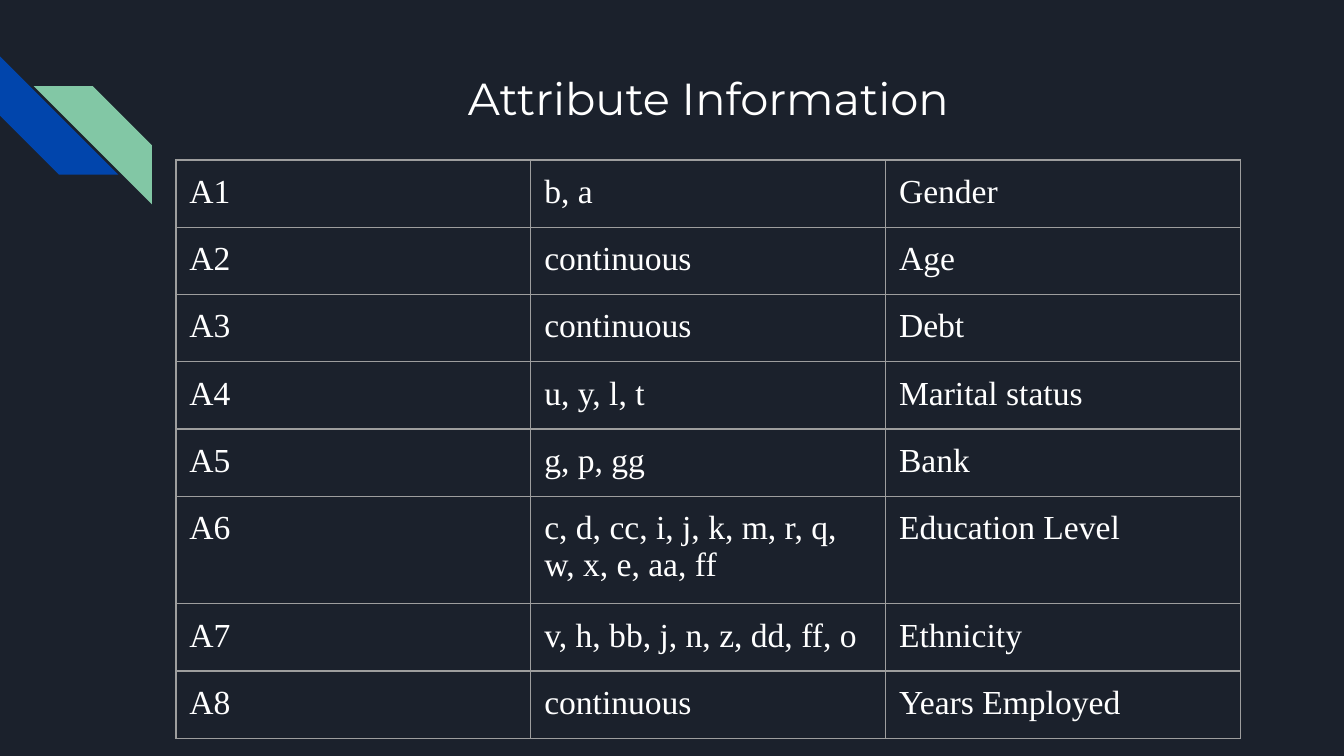
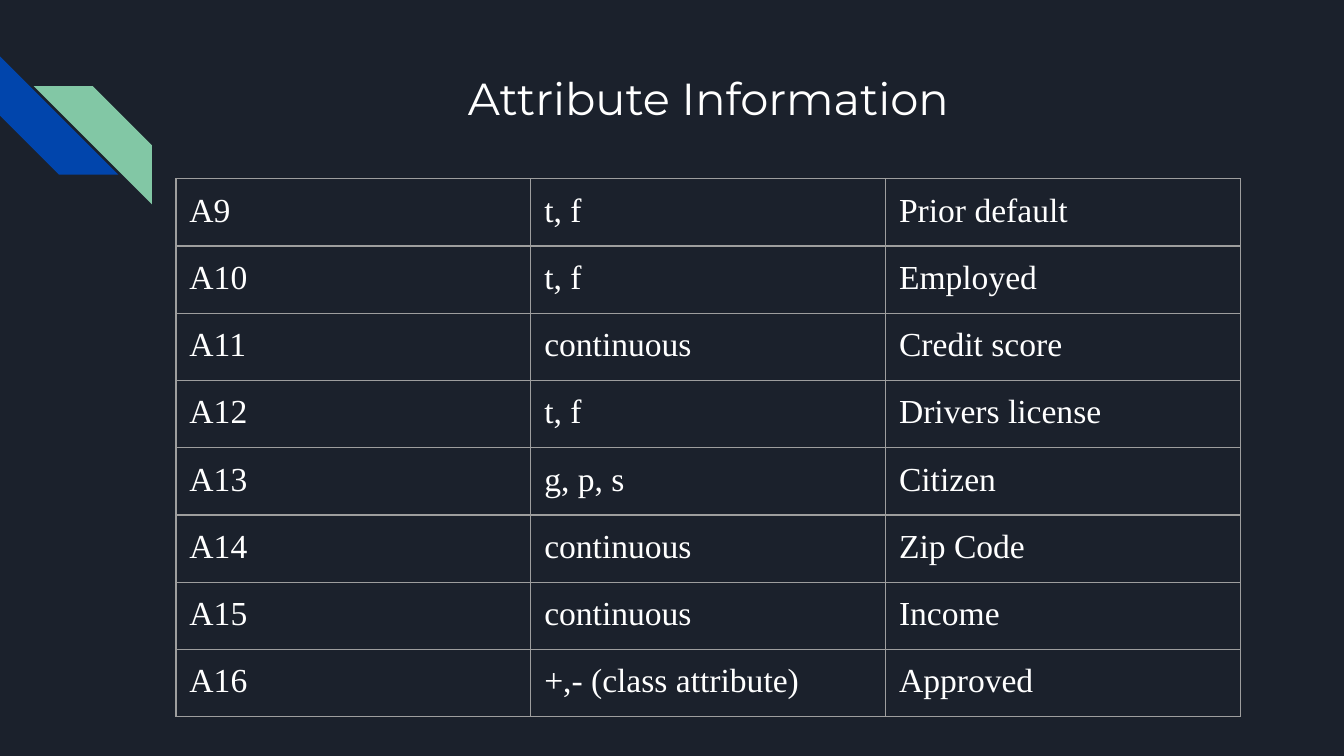
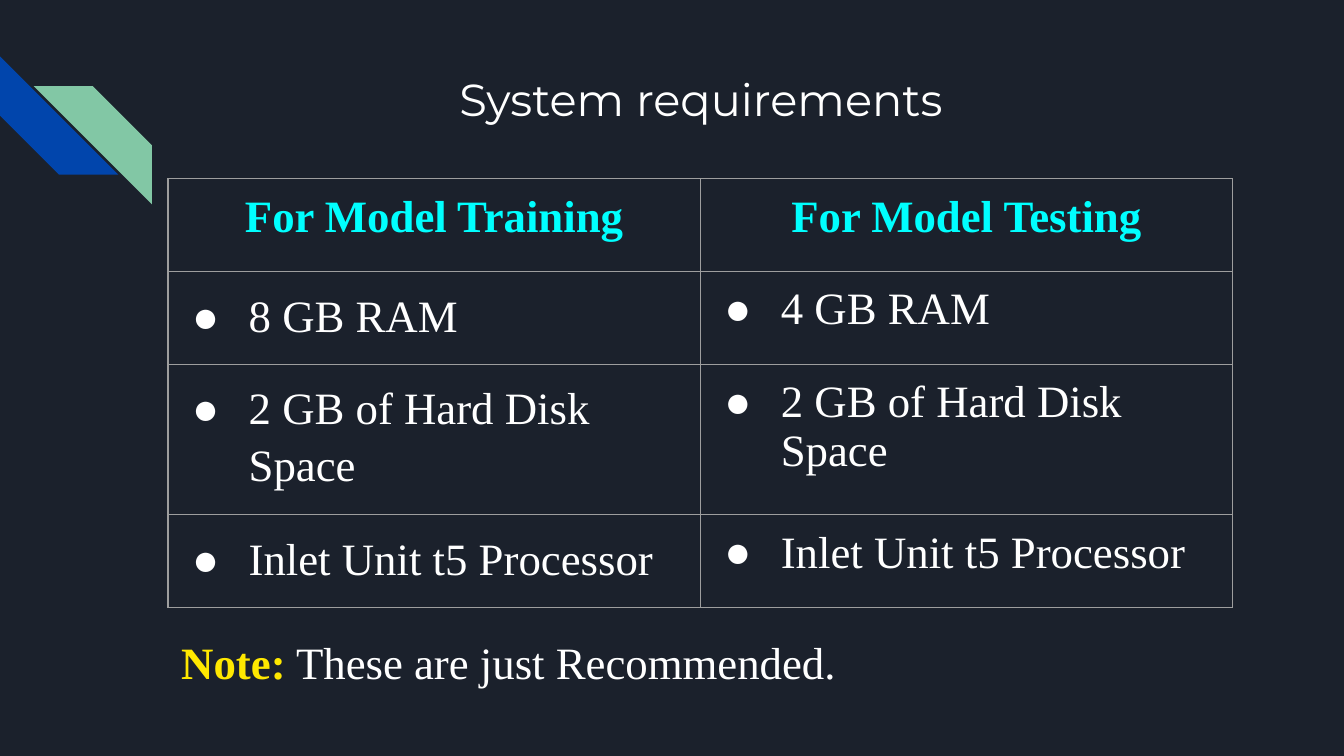
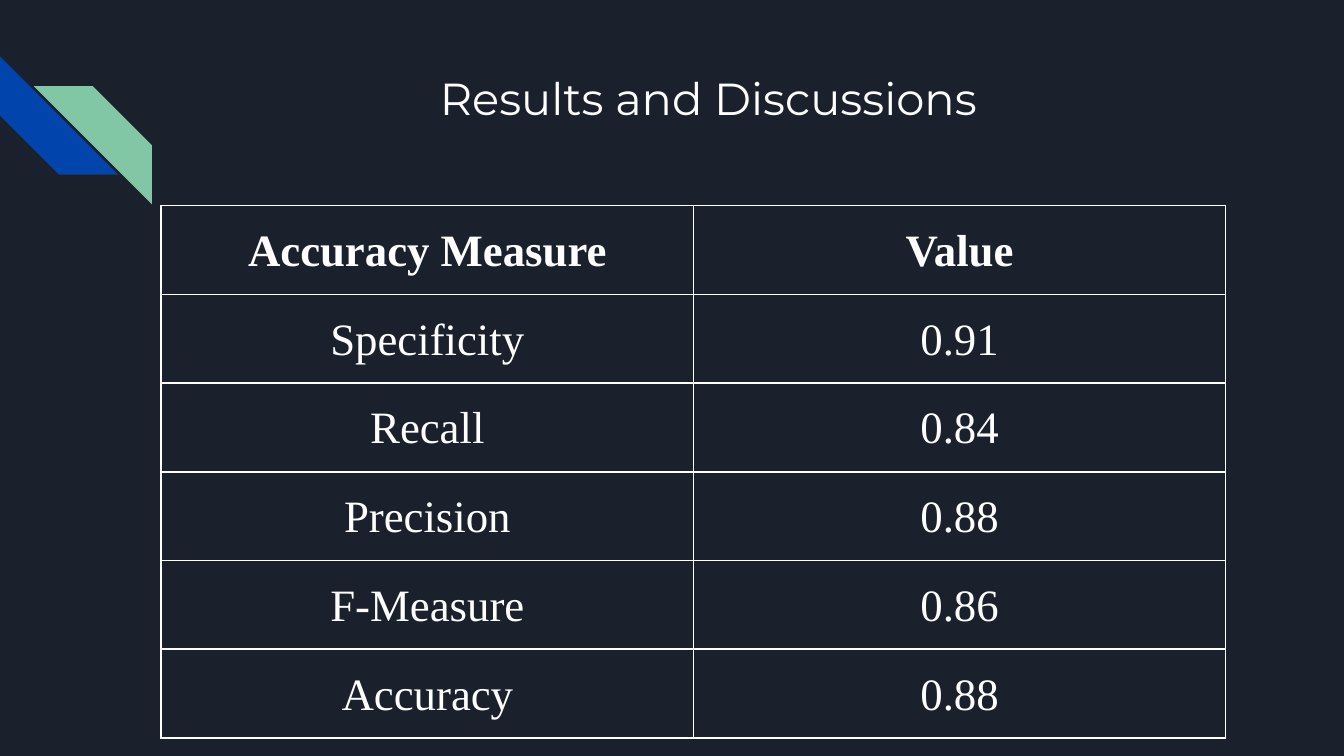
from dataclasses import dataclass

from lxml.etree import SubElement
from pptx import Presentation
from pptx.dml.color import RGBColor
from pptx.enum.shapes import MSO_SHAPE
from pptx.enum.text import MSO_AUTO_SIZE, PP_ALIGN
from pptx.oxml import parse_xml
from pptx.oxml.ns import nsdecls, qn
from pptx.presentation import Presentation as Deck
from pptx.slide import Slide
from pptx.table import _Cell as Cell
from pptx.text.text import TextFrame, _Paragraph as Paragraph
from pptx.util import Inches, Pt


@dataclass(frozen=True)
class Theme:
    background: str = "1B212C"
    blue: str = "0145AC"
    green: str = "82C7A5"
    white: str = "FFFFFF"
    gray: str = "9E9E9E"
    cyan: str = "00FFFF"
    yellow: str = "FFE800"
    title_font: str = "Montserrat"
    body_font: str = "Times New Roman"
    large: int = 24
    small: int = 18


THEME = Theme()
TABLE_WIDTH = 7.92
MARGIN = 0.1


@dataclass(frozen=True)
class Stripe:
    left: float
    top: float
    color: str
    rotation: int = 0
    flipped: bool = False


@dataclass(frozen=True)
class Title:
    text: str
    left: float = 1.31
    width: float = 7.92
    height: float = 0.76


@dataclass(frozen=True)
class CellStyle:
    size: int = THEME.large
    color: str = THEME.white
    bold: bool = False
    alignment: PP_ALIGN = PP_ALIGN.LEFT
    line_spacing: float | None = None
    space: int | None = None
    bullet: bool = False
    side_margin: float = MARGIN


@dataclass(frozen=True)
class Grid:
    """A table; styles gives one style per column, header styles the first row."""
    left: float
    top: float
    rows: list[tuple[str, ...]]
    heights: list[float]
    styles: list[CellStyle]
    header: CellStyle | None = None
    border_color: str = THEME.gray
    border_width: float = 0.75


STRIPES = [
    Stripe(0, 0.42, THEME.blue, rotation=270),
    Stripe(0.25, 0.64, THEME.green, flipped=True),
]
STRIPE_SIZE = 0.88

ATTRIBUTES = [
    ("A1", "b, a", "Gender"),
    ("A2", "continuous", "Age"),
    ("A3", "continuous", "Debt"),
    ("A4", "u, y, l, t", "Marital status"),
    ("A5", "g, p, gg", "Bank"),
    ("A6", "c, d, cc, i, j, k, m, r, q, w, x, e, aa, ff", "Education Level"),
    ("A7", "v, h, bb, j, n, z, dd, ff, o", "Ethnicity"),
    ("A8", "continuous", "Years Employed"),
    ("A9", "t, f", "Prior default"),
    ("A10", "t, f", "Employed"),
    ("A11", "continuous", "Credit score"),
    ("A12", "t, f", "Drivers license"),
    ("A13", "g, p, s", "Citizen"),
    ("A14", "continuous", "Zip Code"),
    ("A15", "continuous", "Income"),
    ("A16", "+,- (class attribute)", "Approved"),
]
REQUIREMENTS = [
    ("For Model Training", "For Model Testing"),
    ("8 GB RAM", "4 GB RAM"),
    ("2 GB of Hard Disk Space",) * 2,
    ("Inlet Unit t5 Processor",) * 2,
]
RESULTS = [
    ("Accuracy Measure", "Value"),
    ("Specificity", "0.91"),
    ("Recall", "0.84"),
    ("Precision", "0.88"),
    ("F-Measure", "0.86"),
    ("Accuracy", "0.88"),
]


def rgb(color: str) -> RGBColor:
    return RGBColor.from_string(color)


def style_font(paragraph: Paragraph, name: str, size: int, color: str, bold: bool = False) -> None:
    font = paragraph.font
    font.name = name
    font.size = Pt(size)
    font.bold = bold
    font.color.rgb = rgb(color)


def add_stripe(slide: Slide, stripe: Stripe) -> None:
    shape = slide.shapes.add_shape(
        MSO_SHAPE.DIAGONAL_STRIPE, Inches(stripe.left), Inches(stripe.top),
        Inches(STRIPE_SIZE), Inches(STRIPE_SIZE))
    shape.adjustments[0] = 0.5
    shape.rotation = stripe.rotation
    if stripe.flipped:
        shape.element.spPr.find(qn("a:xfrm")).set("flipH", "1")
    shape.shadow.inherit = False
    shape.fill.solid()
    shape.fill.fore_color.rgb = rgb(stripe.color)
    shape.line.fill.background()


def add_text_frame(slide: Slide, left: float, top: float, width: float, height: float) -> TextFrame:
    box = slide.shapes.add_textbox(Inches(left), Inches(top), Inches(width), Inches(height))
    frame = box.text_frame
    frame.word_wrap = True
    frame.margin_left = frame.margin_right = Inches(MARGIN)
    frame.margin_top = frame.margin_bottom = Inches(MARGIN)
    return frame


def add_titled_slide(presentation: Deck, title: Title) -> Slide:
    slide = presentation.slides.add_slide(presentation.slide_layouts[6])
    for stripe in STRIPES:
        add_stripe(slide, stripe)
    frame = add_text_frame(slide, title.left, 0.43, title.width, title.height)
    paragraph = frame.paragraphs[0]
    paragraph.text = title.text
    paragraph.alignment = PP_ALIGN.CENTER
    style_font(paragraph, THEME.title_font, THEME.large, THEME.white)
    return slide


def add_bullet(paragraph: Paragraph) -> None:
    properties = paragraph._p.get_or_add_pPr()
    properties.set("marL", str(Inches(0.5)))
    properties.set("indent", str(Inches(-0.42)))
    color = SubElement(properties, qn("a:buClr"))
    SubElement(color, qn("a:srgbClr"), val=THEME.white)
    SubElement(properties, qn("a:buFont"), typeface=THEME.body_font)
    SubElement(properties, qn("a:buChar"), char="●")


def set_end_font(paragraph: Paragraph, size: int) -> None:
    """Give the paragraph mark the body font, since it counts in the row height."""
    properties = SubElement(paragraph._p, qn("a:endParaRPr"), sz=str(size * 100))
    SubElement(properties, qn("a:latin"), typeface=THEME.body_font)


def set_borders(cell: Cell, color: str, width: float) -> None:
    properties = cell._tc.get_or_add_tcPr()
    for index, side in enumerate(("lnL", "lnR", "lnT", "lnB")):
        properties.insert(index, parse_xml(
            f'<a:{side} {nsdecls("a")} w="{Pt(width)}"><a:solidFill>'
            f'<a:srgbClr val="{color}"/></a:solidFill></a:{side}>'))


def fill_cell(cell: Cell, text: str, style: CellStyle) -> None:
    cell.fill.background()
    cell.margin_left = cell.margin_right = Inches(style.side_margin)
    cell.margin_top = cell.margin_bottom = Inches(MARGIN)
    paragraph = cell.text_frame.paragraphs[0]
    paragraph.text = text
    paragraph.alignment = style.alignment
    if style.bullet:
        add_bullet(paragraph)
    if style.line_spacing is not None:
        paragraph.line_spacing = style.line_spacing
    if style.space is not None:
        paragraph.space_before = paragraph.space_after = Pt(style.space)
    style_font(paragraph, THEME.body_font, style.size, style.color, style.bold)
    set_end_font(paragraph, style.size)


def add_grid(slide: Slide, grid: Grid) -> None:
    column_count = len(grid.styles)
    table = slide.shapes.add_table(
        len(grid.rows), column_count, Inches(grid.left), Inches(grid.top),
        Inches(TABLE_WIDTH), Inches(sum(grid.heights))).table
    table.first_row = table.horz_banding = False
    table_properties = table._tbl.tblPr
    table_properties.remove(table_properties.find(qn("a:tableStyleId")))
    for column in table.columns:
        column.width = Inches(TABLE_WIDTH / column_count)
    for row_index, (texts, height) in enumerate(zip(grid.rows, grid.heights)):
        table.rows[row_index].height = Inches(height)
        for column_index, (text, style) in enumerate(zip(texts, grid.styles)):
            cell = table.cell(row_index, column_index)
            is_header = grid.header is not None and row_index == 0
            fill_cell(cell, text, grid.header if is_header else style)
            set_borders(cell, grid.border_color, grid.border_width)


def add_attribute_slide(presentation: Deck, rows: list[tuple[str, ...]], top: float) -> None:
    slide = add_titled_slide(presentation, Title("Attribute Information"))
    add_grid(slide, Grid(1.31, top, rows, [0.42] * len(rows), [CellStyle(THEME.small)] * 3))


def add_note(slide: Slide) -> None:
    frame = add_text_frame(slide, 1.25, 4.62, TABLE_WIDTH, 0.61)
    frame.auto_size = MSO_AUTO_SIZE.SHAPE_TO_FIT_TEXT
    paragraph = frame.paragraphs[0]
    style_font(paragraph, THEME.body_font, THEME.large, THEME.white)
    label = paragraph.add_run()
    label.text = "Note:"
    label.font.bold = True
    label.font.color.rgb = rgb(THEME.yellow)
    paragraph.add_run().text = " These are just Recommended."


def add_requirements_slide(presentation: Deck) -> None:
    slide = add_titled_slide(presentation, Title("System requirements", width=7.81, height=0.79))
    add_grid(slide, Grid(
        1.25, 1.33, REQUIREMENTS, [0.69, 0.69, 1.02, 0.69],
        styles=[CellStyle(bullet=True, line_spacing=1.15), CellStyle(bullet=True)],
        header=CellStyle(color=THEME.cyan, bold=True, alignment=PP_ALIGN.CENTER)))
    add_note(slide)


def add_results_slide(presentation: Deck) -> None:
    slide = add_titled_slide(
        presentation, Title("Results and Discussions", left=1.42, width=7.7, height=1))
    body, header = (
        CellStyle(bold=bold, alignment=PP_ALIGN.CENTER, line_spacing=1.15, space=12,
                  side_margin=0.07)
        for bold in (False, True))
    add_grid(slide, Grid(
        1.2, 1.53, RESULTS, [0.42] * len(RESULTS), [body] * 2, header,
        border_color=THEME.white, border_width=1))


def set_defaults(presentation: Deck) -> None:
    """Set the 16:9 size, the background and the default body font."""
    presentation.slide_width = Inches(10)
    presentation.slide_height = Inches(10) * 9 // 16
    master = presentation.slide_master
    background = master.background.fill
    background.solid()
    background.fore_color.rgb = rgb(THEME.background)
    for element in (presentation.element, master.element):
        for latin in element.iter(qn("a:latin")):
            latin.set("typeface", THEME.body_font)


def main() -> None:
    presentation = Presentation()
    set_defaults(presentation)
    add_attribute_slide(presentation, ATTRIBUTES[:8], top=1.19)
    add_attribute_slide(presentation, ATTRIBUTES[8:], top=1.33)
    add_requirements_slide(presentation)
    add_results_slide(presentation)
    presentation.save("out.pptx")


if __name__ == "__main__":
    main()
